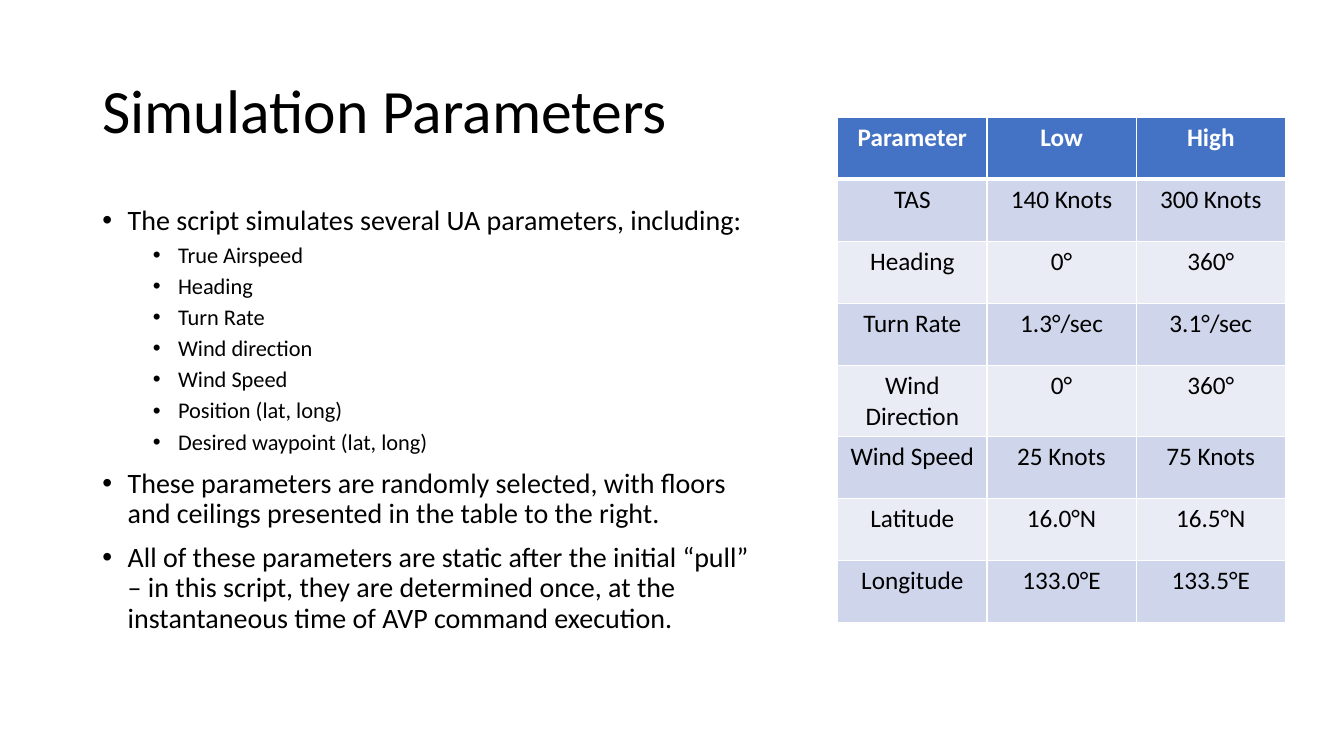
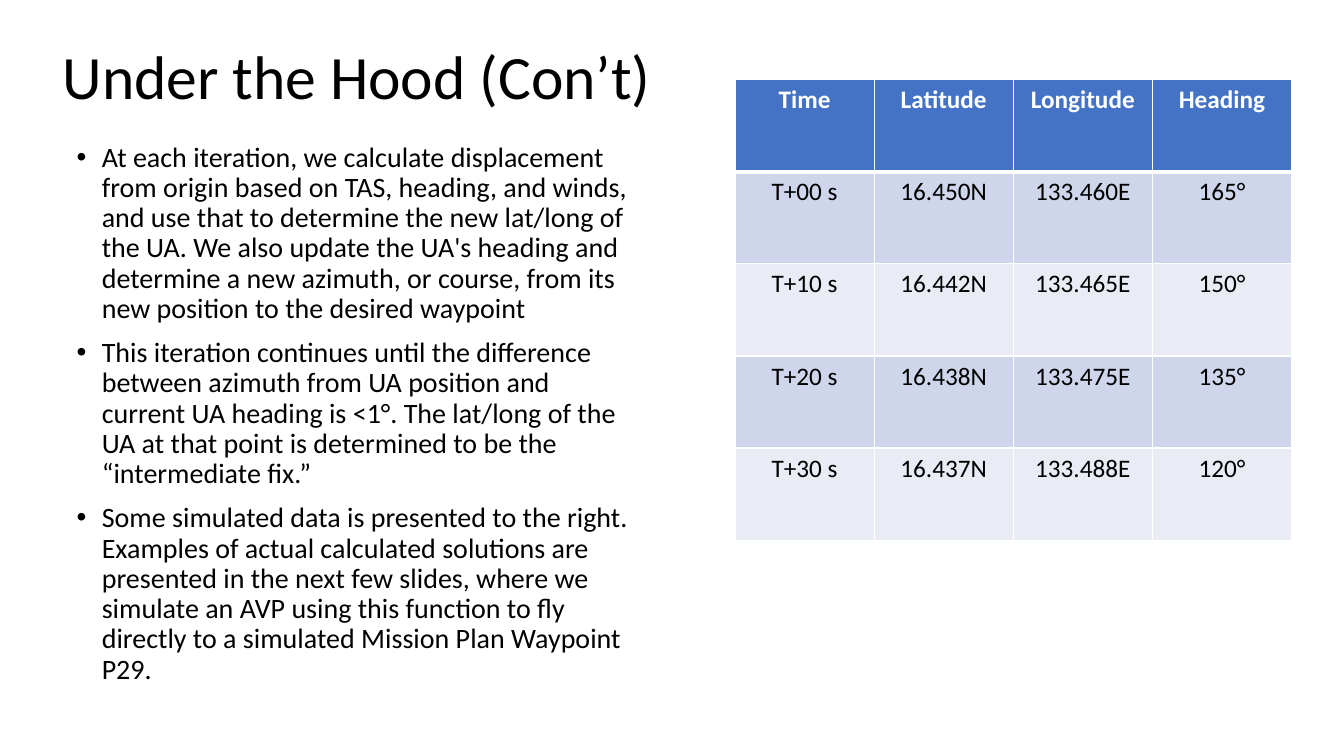
import pptx
import pptx.util
import pptx.dml.color
import pptx.enum.text
import lxml.etree

Pt = pptx.util.Pt
RGB = pptx.dml.color.RGBColor.from_string
ALIGN = pptx.enum.text.PP_ALIGN
ANCHOR = pptx.enum.text.MSO_ANCHOR
DRAWING = "{http://schemas.openxmlformats.org/drawingml/2006/main}"

THEME = {
    "font": "Calibri",
    "ink": "000000",
    "paper": "FFFFFF",
    "header": "4472C4",
    "bands": ("CFD5EA", "E9EBF5"),
    "title": 44,
    "cell": 18,
    "rule": 1,
    "header_rule": 3,
    "levels": (
        {"size": 20, "before": 10, "margin": 18},
        {"size": 16, "before": 5, "margin": 54},
    ),
    "hanging": 18,
}

SLIDES = [
    {
        "title": "Simulation Parameters",
        "title_box": (66, 29, 828, 104.4),
        "list_box": (66, 144, 487.5, 342.6),
        "points": [
            (0, "The script simulates several UA parameters, including:"),
            (1, "True Airspeed"),
            (1, "Heading"),
            (1, "Turn Rate"),
            (1, "Wind direction"),
            (1, "Wind Speed"),
            (1, "Position (lat, long)"),
            (1, "Desired waypoint (lat, long)"),
            (0, "These parameters are randomly selected, with floors and ceilings presented in the table to the right."),
            (0, "All of these parameters are static after the initial “pull” – in this script, they are determined once, at the instantaneous time of AVP command execution."),
        ],
        "grid_origin": (598.4, 83.8),
        "cell_size": (106.6, 44.3),
        "rows": [
            ("Parameter", "Low", "High"),
            ("TAS", "140 Knots", "300 Knots"),
            ("Heading", "0°", "360°"),
            ("Turn Rate", "1.3°/sec", "3.1°/sec"),
            ("Wind Direction", "0°", "360°"),
            ("Wind Speed", "25 Knots", "75 Knots"),
            ("Latitude", "16.0°N", "16.5°N"),
            ("Longitude", "133.0°E", "133.5°E"),
        ],
    },
    {
        "title": "Under the Hood (Con’t)",
        "title_box": (37.5, 4.3, 828, 104.4),
        "list_box": (47.5, 98.6, 414, 401),
        "points": [
            (0, "At each iteration, we calculate displacement from origin based on TAS, heading, and winds, and use that to determine the new lat/long of the UA. We also update the UA's heading and determine a new azimuth, or course, from its new position to the desired waypoint"),
            (0, "This iteration continues until the difference between azimuth from UA position and current UA heading is <1°. The lat/long of the UA at that point is determined to be the “intermediate fix.”"),
            (0, "Some simulated data is presented to the right. Examples of actual calculated solutions are presented in the next few slides, where we simulate an AVP using this function to fly directly to a simulated Mission Plan Waypoint P29."),
        ],
        "grid_origin": (525, 56.9),
        "cell_size": (99.4, 65.8),
        "rows": [
            ("Time", "Latitude", "Longitude", "Heading"),
            ("T+00 s", "16.450N", "133.460E", "165°"),
            ("T+10 s", "16.442N", "133.465E", "150°"),
            ("T+20 s", "16.438N", "133.475E", "135°"),
            ("T+30 s", "16.437N", "133.488E", "120°"),
        ],
    },
]


def write(paragraph, text, size, colour=THEME["ink"], bold=False, **layout):
    run = paragraph.add_run()
    run.text = text
    for name, value in {"name": THEME["font"], "size": Pt(size), "bold": bold}.items():
        setattr(run.font, name, value)
    run.font.color.rgb = RGB(colour)
    for name, value in layout.items():
        setattr(paragraph, name, value)


def place(holder, box, anchor):
    for name, value in zip(("left", "top", "width", "height"), box):
        setattr(holder, name, Pt(value))
    frame = holder.text_frame
    frame_format = {
        "word_wrap": True,
        "auto_size": pptx.enum.text.MSO_AUTO_SIZE.NONE,
        "vertical_anchor": anchor,
    }
    for name, value in frame_format.items():
        setattr(frame, name, value)
    return frame


deck = pptx.Presentation()
deck.slide_width, deck.slide_height = Pt(960), Pt(540)

for content in SLIDES:
    slide = deck.slides.add_slide(deck.slide_layouts[1])

    heading = place(slide.shapes.title, content["title_box"], ANCHOR.MIDDLE)
    write(heading.paragraphs[0], content["title"], THEME["title"],
          alignment=ALIGN.LEFT, line_spacing=0.9)

    points = place(slide.placeholders[1], content["list_box"], ANCHOR.TOP)
    for index, (level, text) in enumerate(content["points"]):
        point = points.add_paragraph() if index else points.paragraphs[0]
        style = THEME["levels"][level]
        write(point, text, style["size"], level=level, line_spacing=0.9,
              space_before=Pt(style["before"]))
        properties = point._p.get_or_add_pPr()
        properties.set("marL", str(Pt(style["margin"])))
        properties.set("indent", str(-Pt(THEME["hanging"])))
        lxml.etree.SubElement(properties, DRAWING + "buFont", typeface="Arial")
        lxml.etree.SubElement(properties, DRAWING + "buChar", char="•")

    rows = content["rows"]
    row_count, column_count = len(rows), len(rows[0])
    left, top = content["grid_origin"]
    cell_width, cell_height = content["cell_size"]
    grid = slide.shapes.add_table(
        row_count, column_count, Pt(left), Pt(top),
        Pt(cell_width * column_count), Pt(cell_height * row_count)).table
    for column in grid.columns:
        column.width = Pt(cell_width)
    for row_index, values in enumerate(rows):
        grid.rows[row_index].height = Pt(cell_height)
        is_header = row_index == 0
        fill = THEME["header"] if is_header else THEME["bands"][(row_index - 1) % 2]
        ink = THEME["paper"] if is_header else THEME["ink"]
        for column_index, value in enumerate(values):
            cell = grid.cell(row_index, column_index)
            cell.fill.solid()
            cell.fill.fore_color.rgb = RGB(fill)
            write(cell.text_frame.paragraphs[0], value, THEME["cell"], ink, is_header,
                  alignment=ALIGN.CENTER)
            for position, edge in enumerate(("lnL", "lnR", "lnT", "lnB")):
                under_header = (row_index, edge) in ((0, "lnB"), (1, "lnT"))
                weight = THEME["header_rule"] if under_header else THEME["rule"]
                line = lxml.etree.Element(DRAWING + edge, w=str(Pt(weight)))
                paint = lxml.etree.SubElement(line, DRAWING + "solidFill")
                lxml.etree.SubElement(paint, DRAWING + "srgbClr", val=THEME["paper"])
                cell._tc.get_or_add_tcPr().insert(position, line)

deck.save("out.pptx")
